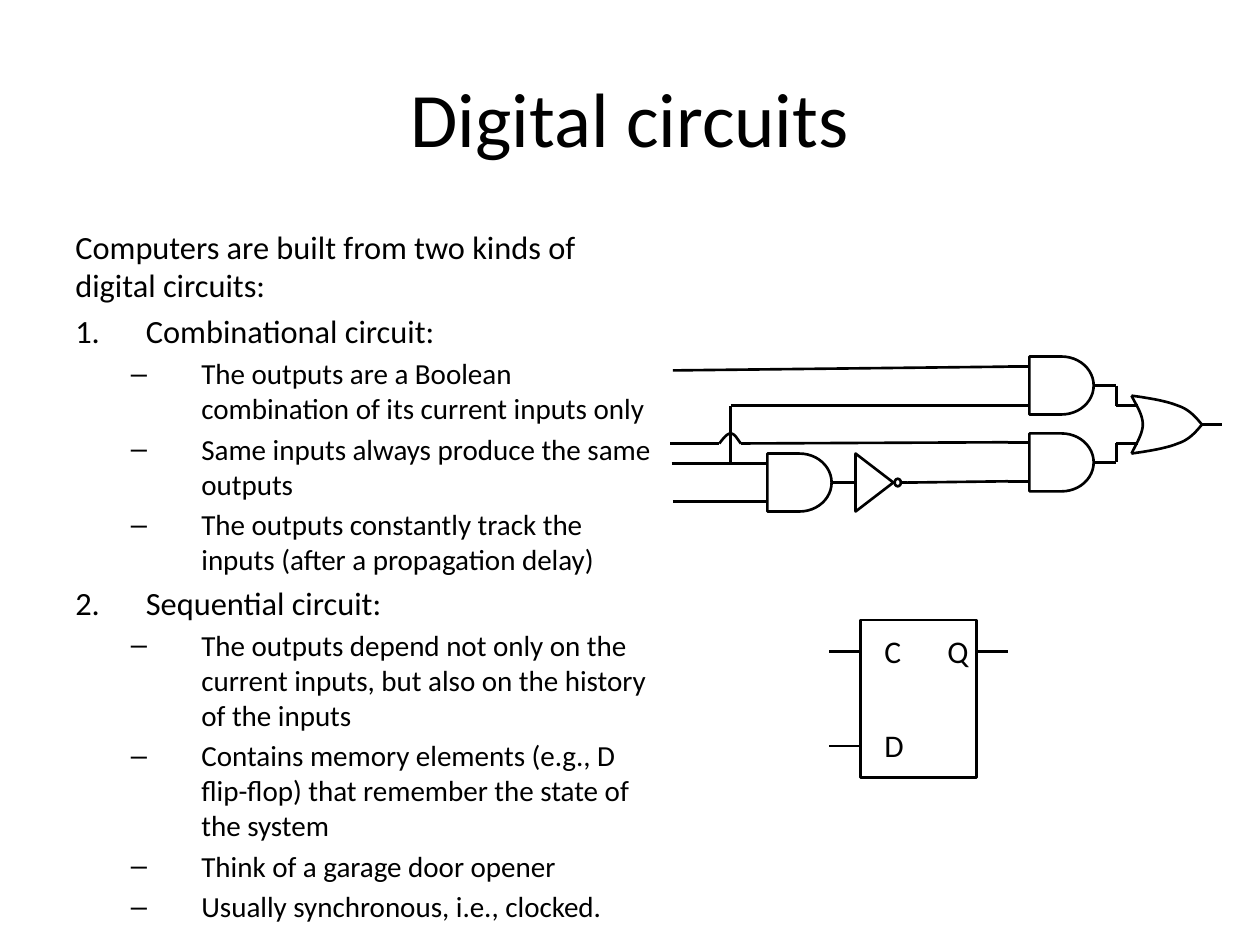
from lxml import etree
from pptx import Presentation
from pptx.dml.color import RGBColor
from pptx.enum.shapes import MSO_CONNECTOR, MSO_SHAPE
from pptx.enum.text import MSO_ANCHOR, PP_ALIGN
from pptx.oxml.ns import qn
from pptx.util import Inches, Pt

STRAIGHT = MSO_CONNECTOR.STRAIGHT
AND_GATE = MSO_SHAPE.FLOWCHART_DELAY
TRIANGLE = MSO_SHAPE.ISOSCELES_TRIANGLE
OVAL = MSO_SHAPE.OVAL
RECTANGLE = MSO_SHAPE.RECTANGLE
MIDDLE, TOP = MSO_ANCHOR.MIDDLE, MSO_ANCHOR.TOP
CENTER, LEFT = PP_ALIGN.CENTER, PP_ALIGN.LEFT
BLACK, WHITE = "000000", "FFFFFF"
FONT = "Calibri"


def outline(shape, fill=None):
    """Give a shape or wire a thin black line, no shadow and an optional fill."""
    shape.line.color.rgb = RGBColor.from_string(BLACK)
    shape.line.width = Pt(1.5)
    etree.SubElement(shape._element.spPr, qn("a:effectLst"))
    if fill:
        shape.fill.solid()
        shape.fill.fore_color.rgb = RGBColor.from_string(fill)
    elif hasattr(shape, "fill"):
        shape.fill.background()


def write(paragraph, text, size, align):
    """Set the text of a paragraph and format it."""
    paragraph.text = text
    paragraph.alignment = align
    for span in paragraph.runs:
        span.font.name = FONT
        span.font.size = Pt(size)
        span.font.color.rgb = RGBColor.from_string(BLACK)


deck = Presentation()
deck.slide_width, deck.slide_height = Inches(10), Inches(7.5)
page = deck.slides.add_slide(deck.slide_layouts[5])
shapes = page.shapes

title = shapes.title
title.left, title.top = Inches(0.5), Inches(0.3)
title.width, title.height = Inches(9), Inches(1.25)
title.text_frame.vertical_anchor = MIDDLE
write(title.text_frame.paragraphs[0], "Digital circuits", 44, CENTER)

# Outline text: (kind, text)
INTRO, NUMBER, DASH = "intro", "number", "dash"
body_lines = [
    (INTRO, "Computers are built from two kinds of digital circuits:"),
    (NUMBER, "Combinational circuit:"),
    (DASH, "The outputs are a Boolean combination of its current inputs only"),
    (DASH, "Same inputs always produce the same outputs"),
    (DASH, "The outputs constantly track the inputs (after a propagation delay)"),
    (NUMBER, "Sequential circuit:"),
    (DASH, "The outputs depend not only on the current inputs, "
           "but also on the history of the inputs"),
    (DASH, "Contains memory elements (e.g., D flip-flop) "
           "that remember the state of the system"),
    (DASH, "Think of a garage door opener"),
    (DASH, "Usually synchronous, i.e., clocked."),
]
body = shapes.add_textbox(Inches(0.5), Inches(1.75), Inches(4.83), Inches(4.95))
frame = body.text_frame
frame.word_wrap = True
frame.vertical_anchor = TOP
for index, (kind, text) in enumerate(body_lines):
    para = frame.add_paragraph() if index else frame.paragraphs[0]
    size = 16.6 if kind == DASH else 18.5
    write(para, text, size, LEFT)
    para.space_before = Pt(round(size * 0.2, 1))
    if kind == INTRO:
        continue
    para.level = 1 if kind == DASH else 0
    settings = para._p.get_or_add_pPr()
    settings.set("marL", str(Inches(1 if kind == DASH else 0.56)))
    settings.set("indent", str(Inches(-0.56)))
    if kind == DASH:
        etree.SubElement(settings, qn("a:buFont")).set("typeface", "Arial")
        etree.SubElement(settings, qn("a:buChar")).set("char", "–")
    else:
        etree.SubElement(settings, qn("a:buFont")).set("typeface", "+mj-lt")
        etree.SubElement(settings, qn("a:buAutoNum")).set("type", "arabicPeriod")

wires = [
    # inputs of the upper AND gate
    (5.34, 2.94, 8, 2.91), (8, 2.91, 8.17, 2.91),
    (5.8, 3.22, 8.17, 3.22), (5.8, 3.68, 5.8, 3.22),
    # inputs of the lower AND gate
    (5.32, 3.52, 5.71, 3.52), (5.88, 3.52, 8, 3.51), (8, 3.51, 8.17, 3.51),
    (7.2, 3.83, 8, 3.82), (8, 3.82, 8.17, 3.82),
    # left AND gate and inverter
    (5.33, 3.68, 6.09, 3.68), (5.34, 3.98, 6.09, 3.98), (6.6, 3.83, 7.2, 3.83),
    # into and out of the OR gate
    (8.68, 3.06, 8.86, 3.06), (8.86, 3.06, 8.86, 3.22), (8.86, 3.22, 9.03, 3.22),
    (8.69, 3.67, 8.86, 3.67), (8.86, 3.67, 8.86, 3.52), (8.86, 3.52, 9.03, 3.52),
    (9.54, 3.37, 9.7, 3.37),
    # flip-flop pins
    (6.58, 5.17, 6.83, 5.17), (6.58, 5.92, 6.83, 5.92), (7.75, 5.17, 8, 5.17),
]
for x1, y1, x2, y2 in wires:
    outline(shapes.add_connector(
        STRAIGHT, Inches(x1), Inches(y1), Inches(x2), Inches(y2)))

parts = [
    (AND_GATE, 8.17, 2.83, 0.51, 0.46, 0, None),
    (AND_GATE, 8.17, 3.44, 0.51, 0.46, 0, None),
    (AND_GATE, 6.09, 3.6, 0.51, 0.46, 0, None),
    (TRIANGLE, 6.71, 3.68, 0.46, 0.3, 90, WHITE),
    (OVAL, 7.1, 3.8, 0.05, 0.06, 0, WHITE),
    (RECTANGLE, 6.83, 4.92, 0.92, 1.25, 0, None),
]
for kind, left, top, width, height, turn, fill in parts:
    part = shapes.add_shape(
        kind, Inches(left), Inches(top), Inches(width), Inches(height))
    part.rotation = turn
    outline(part, fill)

# Curves are chains of cubic segments: a start, then three points per segment
or_top = [(8.98, 3.14), (9.12, 3.16), (9.25, 3.18), (9.35, 3.22),
          (9.44, 3.25), (9.49, 3.31), (9.54, 3.37)]
or_bottom = [(x, 2 * 3.37 - y) for x, y in or_top]
or_back = [(8.98, 3.14), (9.02, 3.22), (9.07, 3.29), (9.07, 3.37),
           (9.07, 3.44), (9.02, 3.52), (8.98, 3.6)]
wire_hop = [(5.71, 3.52), (5.74, 3.48), (5.77, 3.44), (5.8, 3.44),
            (5.83, 3.44), (5.85, 3.48), (5.88, 3.52)]
STEPS = 10
for curve in (or_top, or_bottom, or_back, wire_hop):
    points = []
    for start in range(0, len(curve) - 1, 3):
        segment = curve[start:start + 4]
        for step in range(1, STEPS + 1):
            t = step / STEPS
            weights = ((1 - t) ** 3, 3 * t * (1 - t) ** 2, 3 * t * t * (1 - t), t ** 3)
            points.append(tuple(
                Inches(sum(w * point[axis] for w, point in zip(weights, segment)))
                for axis in (0, 1)))
    builder = shapes.build_freeform(Inches(curve[0][0]), Inches(curve[0][1]))
    builder.add_line_segments(points, close=False)
    outline(builder.convert_to_shape())

for letter, left, top in (("D", 6.92, 5.75), ("C", 6.92, 5), ("Q", 7.42, 5)):
    label = shapes.add_textbox(Inches(left), Inches(top), Inches(0.25), Inches(0.33))
    label.text_frame.word_wrap = True
    label.text_frame.margin_right = 0
    label.text_frame.vertical_anchor = MIDDLE
    write(label.text_frame.paragraphs[0], letter, 18, LEFT)

deck.save("out.pptx")
